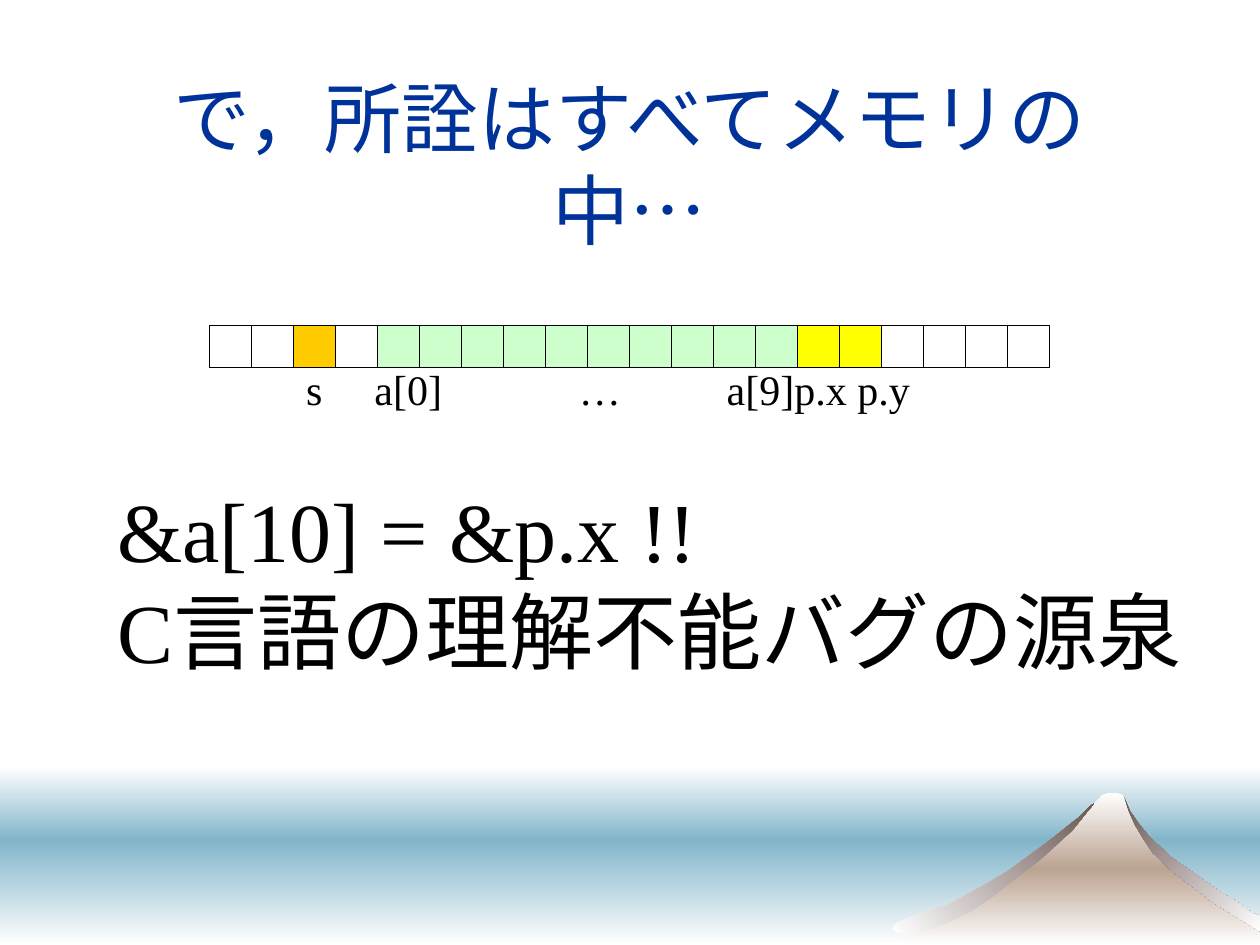
from dataclasses import dataclass
from typing import Optional

from lxml.etree import SubElement
from pptx import Presentation
from pptx.dml.color import RGBColor
from pptx.enum.lang import MSO_LANGUAGE_ID as Language
from pptx.enum.shapes import MSO_SHAPE as Preset
from pptx.enum.text import MSO_ANCHOR as Anchor, PP_ALIGN as Align
from pptx.oxml.ns import qn
from pptx.shapes.autoshape import Shape
from pptx.slide import Slide
from pptx.util import Cm, Pt


@dataclass(frozen=True)
class Theme:
    font: str = "Times New Roman"
    title_size: int = 44
    body_size: int = 48
    label_size: int = 24
    title: str = "003399"
    ink: str = "000000"
    paper: str = "FFFFFF"
    water: str = "82B5CA"
    earth: str = "BCA392"
    shade: str = "6B5653"
    scalar: str = "FFCC00"
    array: str = "CCFFCC"
    point: str = "FFFF00"


@dataclass(frozen=True)
class Band:
    top: float
    height: float
    colors: tuple[str, ...]


@dataclass(frozen=True)
class Slope:
    points: tuple[tuple[int, int], ...]
    colors: tuple[str, ...]
    angle: int


@dataclass(frozen=True)
class TextBlock:
    lines: tuple[str, ...]
    left: float
    top: float
    width: float
    height: float
    size: int
    color: str
    align: Align = Align.LEFT
    anchor: Anchor = Anchor.TOP
    tabs: tuple[float, ...] = ()


@dataclass(frozen=True)
class CellGroup:
    count: int
    color: str


THEME = Theme()
SLOPE_UNIT = Cm(0.0254)
MEMORY_LEFT, MEMORY_TOP = Cm(4.23), Cm(6.56)
CELLS_PER_SLIDE_WIDTH = 30

BANDS = (
    Band(15.45, 1.48, (THEME.paper, THEME.water)),
    Band(16.93, 2.12, (THEME.water, THEME.paper)),
)
SLOPES = (
    Slope(((711, 750), (790, 705), (840, 666), (869, 637), (875, 631), (880, 629), (886, 629),
           (891, 631), (903, 657), (922, 680), (968, 712), (1000, 733), (1000, 750)),
          (THEME.paper, THEME.earth, THEME.paper), 90),
    Slope(((915, 677), (931, 692), (948, 705), (961, 715), (990, 733), (1000, 739), (1000, 727),
           (994, 725), (979, 714), (970, 709), (929, 680), (912, 664), (904, 654), (897, 644),
           (892, 632), (896, 644), (901, 655), (907, 665)),
          (THEME.shade, THEME.paper), 45),
    Slope(((832, 668), (799, 692), (782, 702), (751, 719), (735, 723), (720, 729), (711, 733),
           (708, 737), (712, 740), (720, 741), (730, 739), (739, 737), (750, 733), (769, 724),
           (786, 713), (827, 681), (851, 659), (864, 643), (868, 638), (865, 640), (856, 649)),
          (THEME.paper, THEME.shade), 315),
)
MEMORY = (
    CellGroup(2, THEME.paper),
    CellGroup(1, THEME.scalar),
    CellGroup(1, THEME.paper),
    CellGroup(10, THEME.array),
    CellGroup(2, THEME.point),
    CellGroup(4, THEME.paper),
)
TEXTS = (
    TextBlock(("で，所詮はすべてメモリの中…",), 1.9, 1.69, 21.59, 3.18,
              THEME.title_size, THEME.title, Align.CENTER, Anchor.MIDDLE),
    TextBlock(("s\ta[0]\t…\ta[9]p.x p.y",), 5.92, 7.2, 13.5, 1.27,
              THEME.label_size, THEME.ink, tabs=(1.38, 5.5, 8.48)),
    TextBlock(("&a[10] = &p.x !!", "C言語の理解不能バグの源泉"), 2.12, 9.53, 22.23, 6.35,
              THEME.body_size, THEME.ink),
)


def paint_gradient(shape: Shape, colors: tuple[str, ...], angle: int) -> None:
    """Fill a borderless shape with evenly spaced colours at a clockwise angle."""
    shape.shadow.inherit = False
    shape.line.fill.background()
    shape.fill.gradient()
    shape.fill.gradient_angle = 360 - angle
    stops = shape.fill._xPr.find(".//" + qn("a:gsLst"))
    stops.clear()
    for index, color in enumerate(colors):
        position = 100000 * index // (len(colors) - 1)
        stop = SubElement(stops, qn("a:gs"), pos=str(position))
        SubElement(stop, qn("a:srgbClr"), val=color)


def draw_band(slide: Slide, band: Band, width: int) -> None:
    """Draw one horizontal strip of water."""
    shape = slide.shapes.add_shape(Preset.RECTANGLE, 0, Cm(band.top), width, Cm(band.height))
    paint_gradient(shape, band.colors, 90)


def draw_slope(slide: Slide, slope: Slope) -> None:
    """Draw one face of the mountain."""
    start, *rest = slope.points
    builder = slide.shapes.build_freeform(*start, scale=SLOPE_UNIT)
    builder.add_line_segments(rest, close=True)
    paint_gradient(builder.convert_to_shape(), slope.colors, slope.angle)


def draw_memory(slide: Slide, groups: tuple[CellGroup, ...], side: int) -> None:
    """Draw the row of memory cells."""
    colors = [group.color for group in groups for _ in range(group.count)]
    for index, color in enumerate(colors):
        left = MEMORY_LEFT + index * side
        cell = slide.shapes.add_shape(Preset.RECTANGLE, left, MEMORY_TOP, side, side)
        cell.shadow.inherit = False
        cell.fill.solid()
        cell.fill.fore_color.rgb = RGBColor.from_string(color)
        cell.line.color.rgb = RGBColor.from_string(THEME.ink)
        cell.line.width = Pt(0.75)


def draw_text(slide: Slide, block: TextBlock) -> None:
    """Write a text block with its tab stops and type."""
    box = slide.shapes.add_textbox(
        Cm(block.left), Cm(block.top), Cm(block.width), Cm(block.height))
    frame = box.text_frame
    frame.word_wrap = True
    frame.vertical_anchor = block.anchor
    frame.text = "\n".join(block.lines)
    for paragraph in frame.paragraphs:
        paragraph.alignment = block.align
        if block.tabs:
            tab_list = SubElement(paragraph._p.get_or_add_pPr(), qn("a:tabLst"))
            for position in block.tabs:
                SubElement(tab_list, qn("a:tab"), pos=str(Cm(position)), algn="l")
        for run in paragraph.runs:
            run.font.name = THEME.font
            run.font.size = Pt(block.size)
            run.font.language_id = Language.JAPANESE
            run.font.color.rgb = RGBColor.from_string(block.color)


def main() -> None:
    """Build the memory layout slide."""
    presentation = Presentation()
    presentation.slide_width, presentation.slide_height = Cm(25.4), Cm(19.05)
    slide = presentation.slides.add_slide(presentation.slide_layouts[6])
    for band in BANDS:
        draw_band(slide, band, presentation.slide_width)
    for slope in SLOPES:
        draw_slope(slide, slope)
    draw_memory(slide, MEMORY, presentation.slide_width // CELLS_PER_SLIDE_WIDTH)
    for block in TEXTS:
        draw_text(slide, block)
    presentation.save("out.pptx")


if __name__ == "__main__":
    main()
